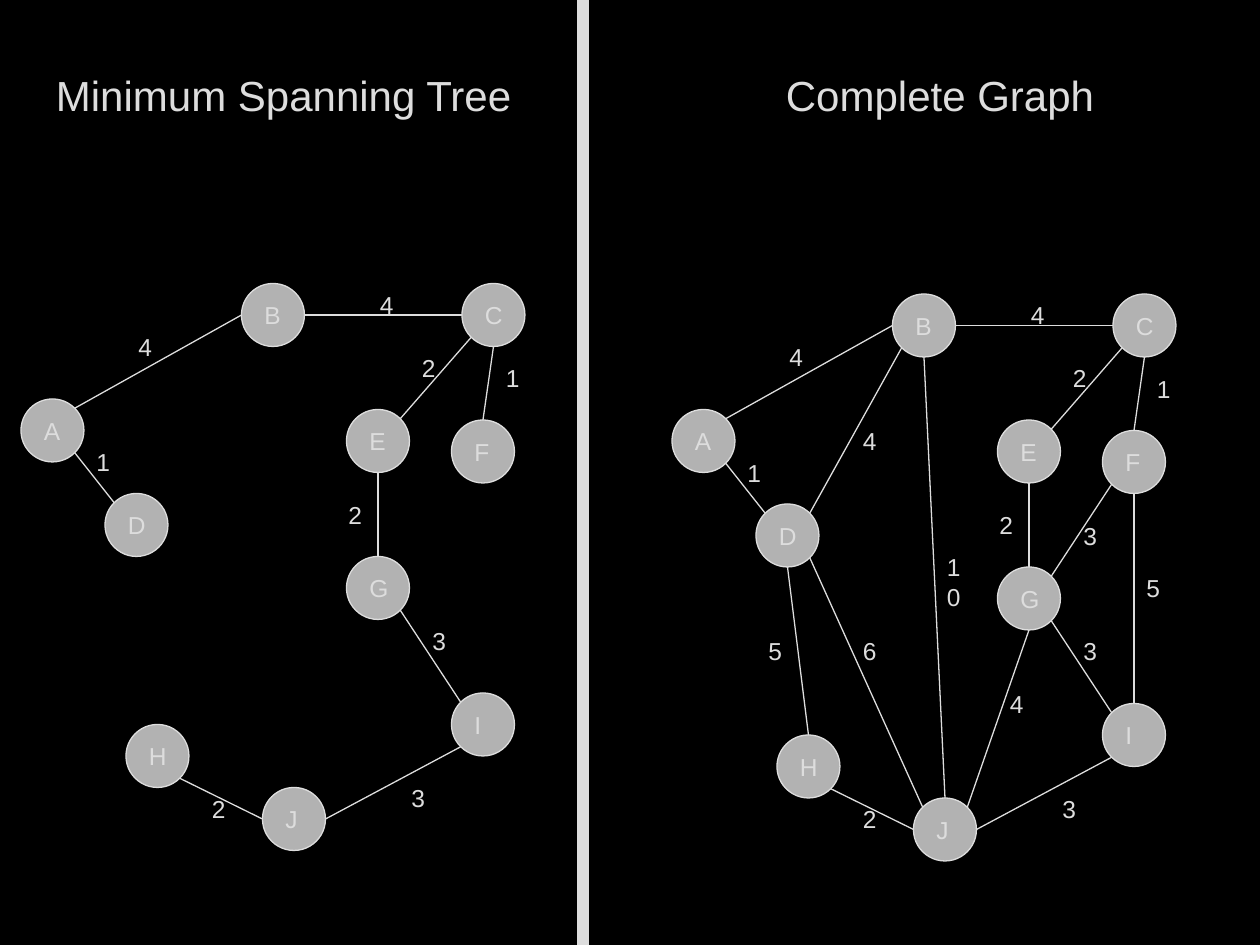
"""Build a slide comparing a minimum spanning tree with its complete graph."""
from math import sqrt

from lxml.etree import SubElement
from pptx import Presentation
from pptx.dml.color import RGBColor
from pptx.enum.shapes import MSO_CONNECTOR as LINE, MSO_SHAPE as SHAPE
from pptx.enum.text import MSO_ANCHOR as ANCHOR, MSO_AUTO_SIZE as FIT, PP_ALIGN as ALIGN
from pptx.oxml.ns import qn
from pptx.util import Inches, Pt

BLACK = RGBColor(0x00, 0x00, 0x00)
LIGHT = RGBColor(0xDD, 0xDD, 0xDD)
GRAY = RGBColor(0xB2, 0xB2, 0xB2)

# Node: grid column, grid row, letter width in inches
NODES = {
    "A": (2, 38, 0.34), "B": (23, 27, 0.33), "C": (44, 27, 0.33),
    "D": (10, 47, 0.34), "E": (33, 39, 0.32), "F": (43, 40, 0.31),
    "G": (33, 53, 0.34), "H": (12, 69, 0.34), "I": (43, 66, 0.27),
    "J": (25, 75, 0.28),
}
TREE_EDGES = [
    ("A", "NE", "B", "W", "4", 12, 31),
    ("B", "E", "C", "W", "4", 35, 27),
    ("A", "SE", "D", "NW", "1", 8, 42),
    ("C", "SW", "E", "NE", "2", 39, 33),
    ("C", "S", "F", "N", "1", 47, 34),
    ("E", "S", "G", "N", "2", 32, 47),
    ("G", "SE", "I", "NW", "3", 40, 59),
    ("J", "E", "I", "SW", "3", 38, 74),
    ("J", "W", "H", "SE", "2", 19, 75),
]
OTHER_EDGES = [
    ("B", "SW", "D", "NE", "4", 19, 39),
    ("B", "S", "J", "N", "10", 27, 51),
    ("D", "S", "H", "N", "5", 10, 59),
    ("D", "SE", "J", "NW", "6", 19, 59),
    ("G", "S", "J", "NE", "4", 33, 64),
    ("F", "SW", "G", "NE", "3", 40, 48),
    ("F", "S", "I", "N", "5", 46, 53),
]
GRAPHS = [(TREE_EDGES, 0, 0), (TREE_EDGES + OTHER_EDGES, 62, 1)]
UNIT = 1 / 12
RADIUS = 3
LABEL_HEIGHT = 0.33


def write(box, text, size=14, align=ALIGN.LEFT, wrap=False):
    frame = box.text_frame
    frame.word_wrap = wrap
    frame.auto_size = FIT.SHAPE_TO_FIT_TEXT
    frame.vertical_anchor = ANCHOR.TOP
    paragraph = frame.paragraphs[0]
    paragraph.text = text
    paragraph.alignment = align
    font = paragraph.font
    font.name, font.size, font.color.rgb = "Arial", Pt(size), LIGHT


def add_label(slide, text, column, row, width, **style):
    box = slide.shapes.add_textbox(
        Inches(column * UNIT), Inches(row * UNIT), Inches(width), Inches(LABEL_HEIGHT))
    write(box, text, **style)


def add_filled(slide, kind, column, row, width, height, color):
    shape = slide.shapes.add_shape(
        kind, *(Inches(n * UNIT) for n in (column, row, width, height)))
    shape.shadow.inherit = False
    shape.fill.solid()
    shape.fill.fore_color.rgb = color
    shape.line.color.rgb = LIGHT
    shape.line.width = Pt(0.75)


def rim_point(node, side, dx, dy):
    column, row, _ = NODES[node]
    reach = RADIUS / sqrt(len(side))
    across = ("E" in side) - ("W" in side)
    down = ("S" in side) - ("N" in side)
    return (Inches((column + dx + RADIUS + reach * across) * UNIT),
            Inches((row + dy + RADIUS + reach * down) * UNIT))


def add_edge(slide, start, end):
    edge = slide.shapes.add_connector(LINE.STRAIGHT, *start, *end)
    edge.line.color.rgb = LIGHT
    edge.line.width = Pt(0.75)
    SubElement(edge._element.spPr, qn("a:effectLst"))


def add_graph(slide, edges, dx, dy):
    for node, side, other, other_side, *_ in edges:
        add_edge(slide, rim_point(node, side, dx, dy), rim_point(other, other_side, dx, dy))
    for letter, (column, row, width) in NODES.items():
        left, top = column + dx, row + dy
        add_filled(slide, SHAPE.OVAL, left, top, 2 * RADIUS, 2 * RADIUS, GRAY)
        add_label(slide, letter, left + 1, top + 1, width)
    for *_, weight, column, row in edges:
        long = len(weight) > 1
        add_label(slide, weight, column + dx, row + dy, 0.4 if long else 0.3, wrap=long)


def main():
    deck = Presentation()
    deck.slide_width, deck.slide_height = Inches(10), Inches(7.5)
    slide = deck.slides.add_slide(deck.slide_layouts[5])
    slide.background.fill.solid()
    slide.background.fill.fore_color.rgb = BLACK

    add_filled(slide, SHAPE.RECTANGLE, 55, 0, 1, 90, LIGHT)
    for edges, dx, dy in GRAPHS:
        add_graph(slide, edges, dx, dy)

    tree_title = slide.shapes.title
    tree_title.left, tree_title.top = Inches(0.33), Inches(0.5)
    tree_title.width, tree_title.height = Inches(3.84), Inches(0.5)
    graph_title = slide.shapes.add_textbox(Inches(6), Inches(0.5), Inches(2.92), Inches(0.5))
    for box, text in ((tree_title, "Minimum Spanning Tree"), (graph_title, "Complete Graph")):
        write(box, text, size=24, align=ALIGN.CENTER, wrap=True)

    deck.save("out.pptx")


if __name__ == "__main__":
    main()
